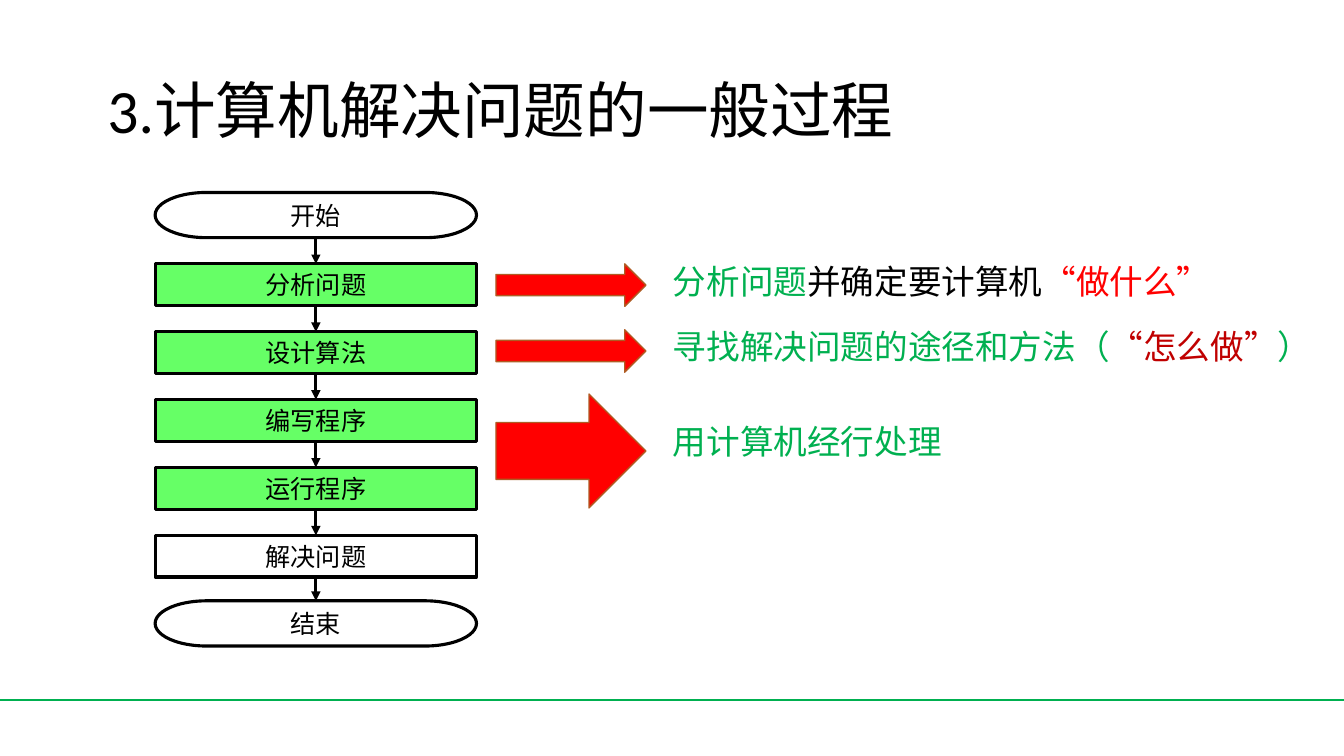
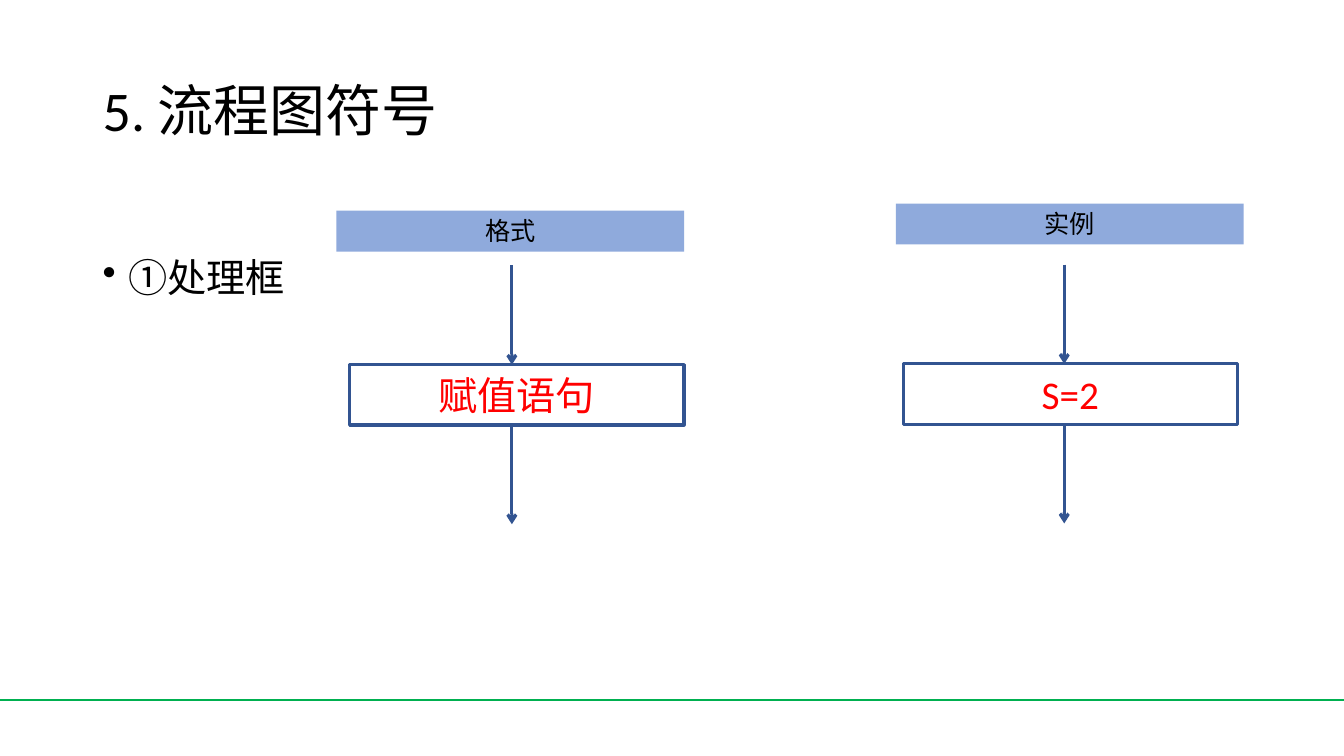
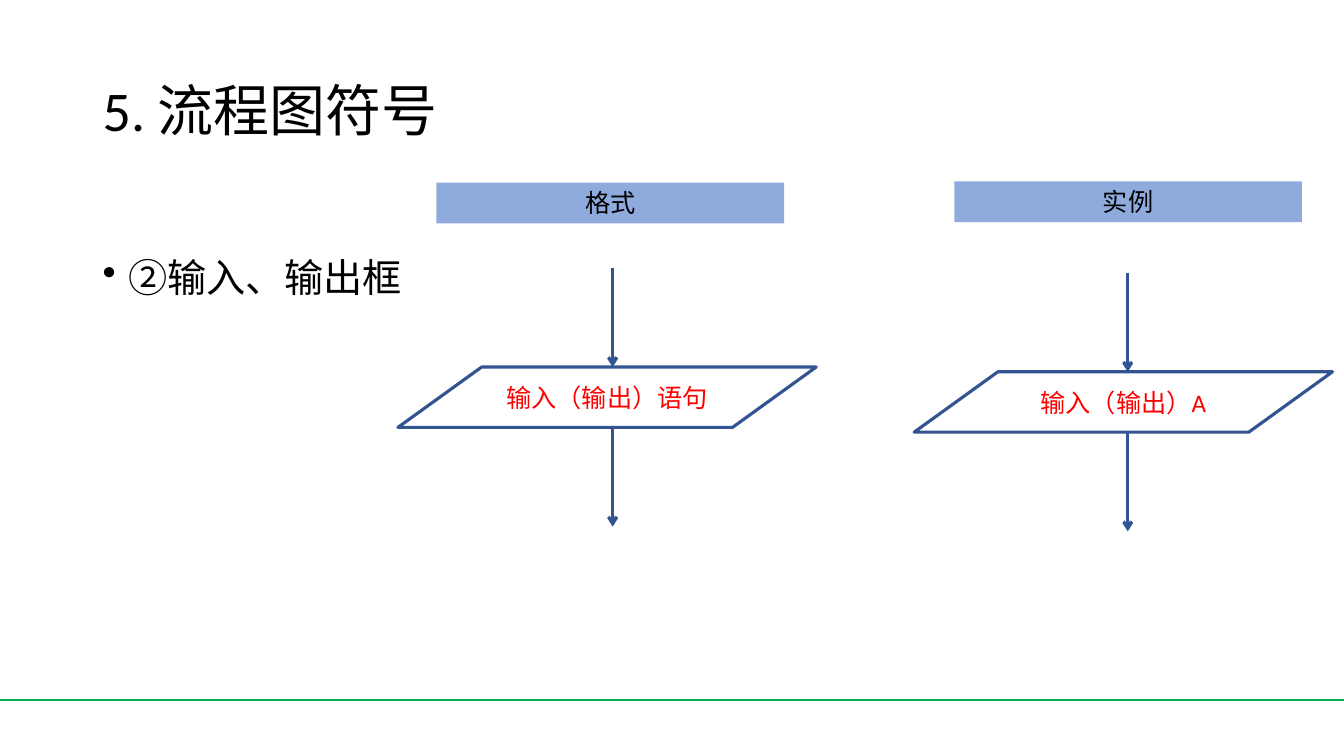
import pptx
import pptx.dml.color
import pptx.enum.shapes
import pptx.enum.text
import pptx.oxml.ns
import pptx.util
import lxml.etree

Cm = pptx.util.Cm
Pt = pptx.util.Pt
RGB = pptx.dml.color.RGBColor.from_string
qn = pptx.oxml.ns.qn
SHAPE = pptx.enum.shapes.MSO_SHAPE
ALIGN = pptx.enum.text.PP_ALIGN
ANCHOR = pptx.enum.text.MSO_ANCHOR
FIT = pptx.enum.text.MSO_AUTO_SIZE

FONT = "Calibri"
COLORS = {
    "black": "000000",
    "white": "FFFFFF",
    "green": "00B050",
    "step": "66FF66",
    "red": "FF0000",
    "dark red": "C00000",
    "arrow edge": "AF5C24",
    "blue": "325491",
    "header": "8FAADC",
}


def add_box(page, preset, place, spans=(), size=18, fill=None, edge=None,
            width=2.25, align=ALIGN.CENTER, anchor=ANCHOR.MIDDLE, grow=False):
    place = [Cm(length) for length in place]
    if preset is None:
        box = page.shapes.add_textbox(*place)
    else:
        box = page.shapes.add_shape(preset, *place)
        box.shadow.inherit = False
        if fill:
            box.fill.solid()
            box.fill.fore_color.rgb = RGB(COLORS[fill])
        else:
            box.fill.background()
        if edge:
            box.line.color.rgb = RGB(COLORS[edge])
            box.line.width = Pt(width)
        else:
            box.line.fill.background()
    frame = box.text_frame
    frame.word_wrap = True
    frame.vertical_anchor = anchor
    frame.auto_size = FIT.SHAPE_TO_FIT_TEXT if grow else FIT.NONE
    para = frame.paragraphs[0]
    para.alignment = align
    for text, color in spans:
        span = para.add_run()
        span.text = text
        span.font.name = FONT
        span.font.size = Pt(size)
        span.font.color.rgb = RGB(COLORS[color])
    return box


def add_line(page, start, end, color, width=2.25, head=None):
    line = page.shapes.add_connector(
        pptx.enum.shapes.MSO_CONNECTOR.STRAIGHT,
        Cm(start[0]), Cm(start[1]), Cm(end[0]), Cm(end[1]))
    line.line.color.rgb = RGB(COLORS[color])
    line.line.width = Pt(width)
    properties = line._element.spPr
    if head:
        lxml.etree.SubElement(properties.find(qn("a:ln")), qn("a:tailEnd"), type=head)
    lxml.etree.SubElement(properties, qn("a:effectLst"))
    return line


deck = pptx.Presentation()
deck.slide_width = Cm(33.87)
deck.slide_height = Cm(19.05)

pages = []
for title, left, size in [
    ("3.计算机解决问题的一般过程", 2.46, 44),
    ("5. 流程图符号", 2.34, 40),
    ("5. 流程图符号", 2.34, 40),
]:
    page = deck.slides.add_slide(deck.slide_layouts[6])
    add_line(page, (0, 17.63), (33.87, 17.63), "green", 1.5)
    heading = add_box(page, None, (left, 1.02, 29.21, 3.68), [(title, "black")],
                      size, align=ALIGN.LEFT)
    heading.text_frame.paragraphs[0].line_spacing = 0.9
    pages.append(page)

process_page = pages[0]
flow = [add_box(process_page, SHAPE.FLOWCHART_TERMINATOR, (3.91, 4.85, 8.1, 1.14),
                [("开始", "black")], edge="black")]
steps = [("分析问题", "step"), ("设计算法", "step"), ("编写程序", "step"),
         ("运行程序", "step"), ("解决问题", "white")]
for index, (label, fill) in enumerate(steps):
    flow.append(add_box(process_page, SHAPE.RECTANGLE,
                        (3.91, 6.65 + 1.71 * index, 8.1, 1.05),
                        [(label, "black")], fill=fill, edge="black"))
flow.append(add_box(process_page, SHAPE.FLOWCHART_TERMINATOR, (3.91, 15.14, 8.1, 1.14),
                    [("结束", "black")], edge="black"))
for upper, lower in zip(flow, flow[1:]):
    link = add_line(process_page, (0, 0), (0, 0), "black", head="triangle")
    link.begin_connect(upper, 2)
    link.end_connect(lower, 0)

remarks = [
    (6.65, 1.07, 6.45, [("分析问题", "green"), ("并确定要计算机", "black"),
                        ("“做什么”", "red")]),
    (8.31, 1.07, 8.1, [("寻找解决问题的途径和方法（", "green"),
                       ("“怎么做”", "dark red"), ("）", "green")]),
    (9.93, 2.87, 10.49, [("用计算机经行处理", "green")]),
]
for arrow_top, arrow_height, text_top, spans in remarks:
    add_box(process_page, SHAPE.RIGHT_ARROW, (12.5, arrow_top, 3.78, arrow_height),
            fill="red", edge="arrow edge", width=1)
    add_box(process_page, None, (16.71, text_top, 16.84, 1.27), spans, 24,
            align=ALIGN.LEFT, anchor=ANCHOR.TOP, grow=True)

symbols = [
    ("①处理框", SHAPE.FLOWCHART_PROCESS, 8.43, 28, [
        ("格式", 8.48, 5.31, "赋值语句", 8.81, 9.19, 12.9),
        ("实例", 22.58, 5.13, "S=2", 22.76, 9.17, 26.82),
    ]),
    ("②输入、输出框", SHAPE.FLOWCHART_DATA, 10.54, 18, [
        ("格式", 11, 4.6, "输入（输出）语句", 10.03, 9.25, 15.44),
        ("实例", 24.05, 4.57, "输入（输出）A", 23.04, 9.37, 28.42),
    ]),
]
symbol_height = 1.52
arrow_length = 2.5
for page, (name, preset, width, size, columns) in zip(pages[1:], symbols):
    body = add_box(page, None, (2.34, 5.08, 29.21, 12.09), [(name, "black")], 28,
                   align=ALIGN.LEFT, anchor=ANCHOR.TOP)
    para = body.text_frame.paragraphs[0]
    para.line_spacing = 2.0
    para.space_before = Pt(10)
    settings = para._p.get_or_add_pPr()
    settings.set("marL", str(Cm(0.64)))
    settings.set("indent", str(-Cm(0.64)))
    lxml.etree.SubElement(settings, qn("a:buChar"), char="•")
    for header, header_left, header_top, label, left, top, axis in columns:
        add_box(page, preset, (left, top, width, symbol_height), [(label, "red")],
                size, edge="blue")
        for start in (top - arrow_length, top + symbol_height):
            add_line(page, (axis, start), (axis, start + arrow_length), "blue",
                     head="arrow")
        add_box(page, SHAPE.RECTANGLE, (header_left, header_top, 8.76, 1.03),
                [(header, "black")], fill="header", anchor=ANCHOR.TOP, grow=True)

deck.save("out.pptx")
